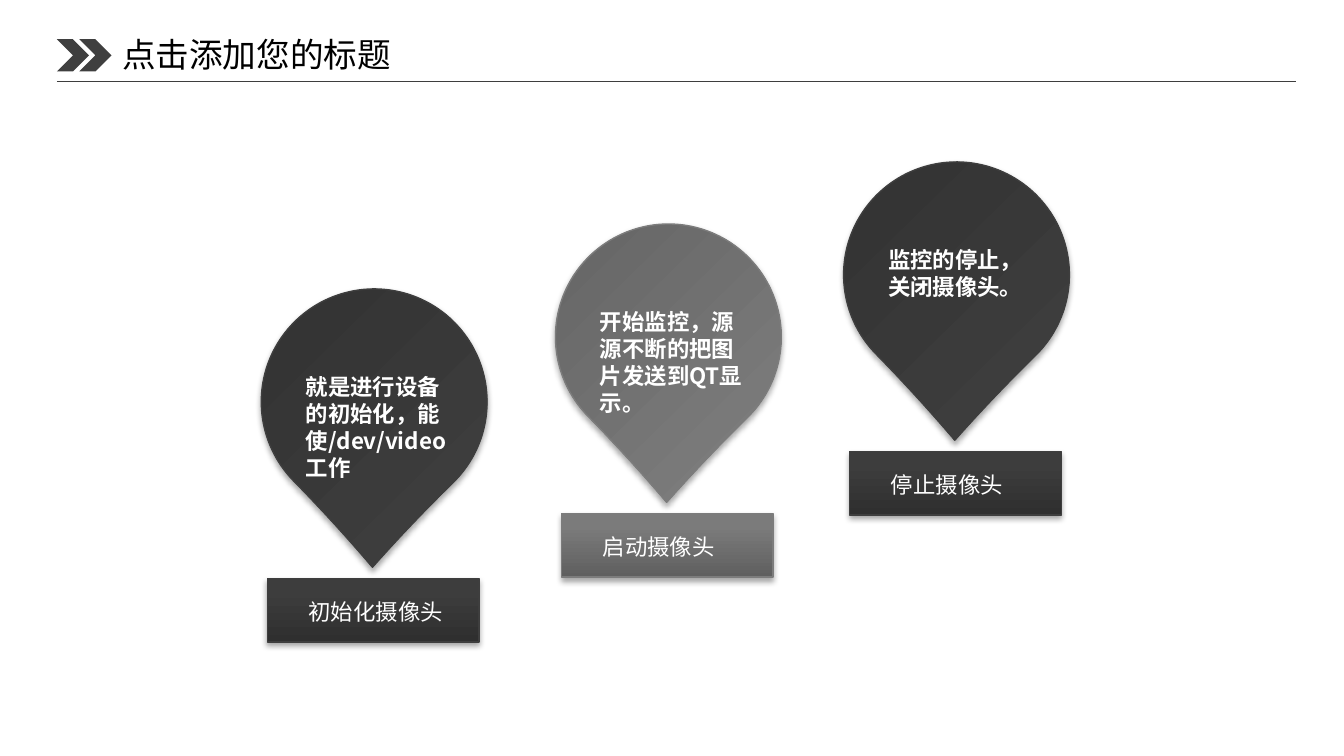
import pptx
import pptx.util
import pptx.dml.color
import pptx.enum.shapes
import pptx.enum.text
import pptx.oxml
import pptx.oxml.ns

RGB = pptx.dml.color.RGBColor
SHAPE = pptx.enum.shapes.MSO_SHAPE
FIT = pptx.enum.text.MSO_AUTO_SIZE
BLACK = RGB(0x00, 0x00, 0x00)
WHITE = RGB(0xFF, 0xFF, 0xFF)
CHEVRON_GREY = RGB(0x3F, 0x3F, 0x3F)
RULE_GREY = RGB(0x3E, 0x3E, 0x3E)
DARK = (RGB(0x2F, 0x2F, 0x2F), RGB(0x3D, 0x3D, 0x3D), RULE_GREY)
MEDIUM = (RGB(0x5F, 0x5F, 0x5F), RGB(0x7B, 0x7B, 0x7B), RGB(0x7C, 0x7C, 0x7C))
FONT = "Noto Sans CJK SC"
NS = pptx.oxml.ns.nsdecls("a")
SHADOW = (
    f'<a:effectLst {NS}><a:outerShdw blurRad="40000" dist="23000" dir="5400000" rotWithShape="0">'
    '<a:srgbClr val="000000"><a:alpha val="35000"/></a:srgbClr></a:outerShdw></a:effectLst>'
)

deck = pptx.Presentation()
deck.slide_width = pptx.util.Inches(10)
deck.slide_height = deck.slide_width * 9 // 16
CELL = deck.slide_width / 100
slide = deck.slides.add_slide(deck.slide_layouts[6])


def cells(*counts):
    return [round(count * CELL) for count in counts]


def write(area, paragraphs, style, wrap=True):
    frame = slide.shapes.add_textbox(*cells(*area)).text_frame
    frame.word_wrap = wrap
    frame.auto_size = FIT.SHAPE_TO_FIT_TEXT
    frame.text = "\n".join(paragraphs)
    for paragraph in frame.paragraphs:
        run = paragraph.runs[0]
        for attribute, value in style.items():
            if attribute == "color":
                run.font.color.rgb = value
            else:
                setattr(run.font, attribute, value)
        run.font._element.append(pptx.oxml.parse_xml(f'<a:ea {NS} typeface="{FONT}"/>'))


title_style = {"name": FONT, "size": pptx.util.Pt(18), "color": BLACK}
label_style = {"name": FONT, "size": pptx.util.Pt(12), "color": WHITE}
detail_style = {**label_style, "bold": True}

for column in (4.23, 5.9):
    chevron = slide.shapes.add_shape(SHAPE.CHEVRON, *cells(column, 2.92, 2.4, 2.4))
    chevron.shadow.inherit = False
    chevron.fill.solid()
    chevron.fill.fore_color.rgb = CHEVRON_GREY
    chevron.line.fill.background()

title_rule = slide.shapes.add_connector(
    pptx.enum.shapes.MSO_CONNECTOR.STRAIGHT, *cells(4.23, 6.06, 96.46, 6.06))
title_rule.line.color.rgb = RULE_GREY
title_rule.line.width = pptx.util.Pt(0.75)
title_rule._element.spPr.append(pptx.oxml.parse_xml(f"<a:effectLst {NS}/>"))
write((8.1, 2, 22.2, 4), ["点击添加您的标题"], title_style, wrap=False)

steps = [
    (19.44, 21.5, DARK, "初始化摄像头", ["就是进行设备的初始化，能使/dev/video", "工作"], 9.1),
    (41.33, 16.67, MEDIUM, "启动摄像头", ["开始监控，源源不断的把图片发送到QT显示。"], 9.1),
    (62.77, 12.05, DARK, "停止摄像头", ["监控的停止，关闭摄像头。"], 5),
]
for column, row, (shade, tint, outline), label, detail, detail_rows in steps:
    pin = slide.shapes.add_shape(SHAPE.TEAR, *cells(column, row, 16.8, 16.8))
    pin.adjustments[0] = 1.036
    pin.rotation = 135.6
    plate = slide.shapes.add_shape(SHAPE.RECTANGLE, *cells(column + 0.46, row + 21.54, 15.74, 4.74))
    for body in (pin, plate):
        body.fill.gradient()
        body.fill.gradient_angle = 90
        for stop, color, position in zip(body.fill.gradient_stops, (shade, tint), (0, 0.8)):
            stop.color.rgb = color
            stop.position = position
        body.line.color.rgb = outline
        body.line.width = pptx.util.Pt(0.75)
        body._element.spPr.append(pptx.oxml.parse_xml(SHADOW))
    write((column + 2.32, row + 5.8, 13.1, detail_rows), detail, detail_style)
    write((column + 2.54, row + 22.5, 12.3, 3), [label], label_style)

deck.save("out.pptx")
